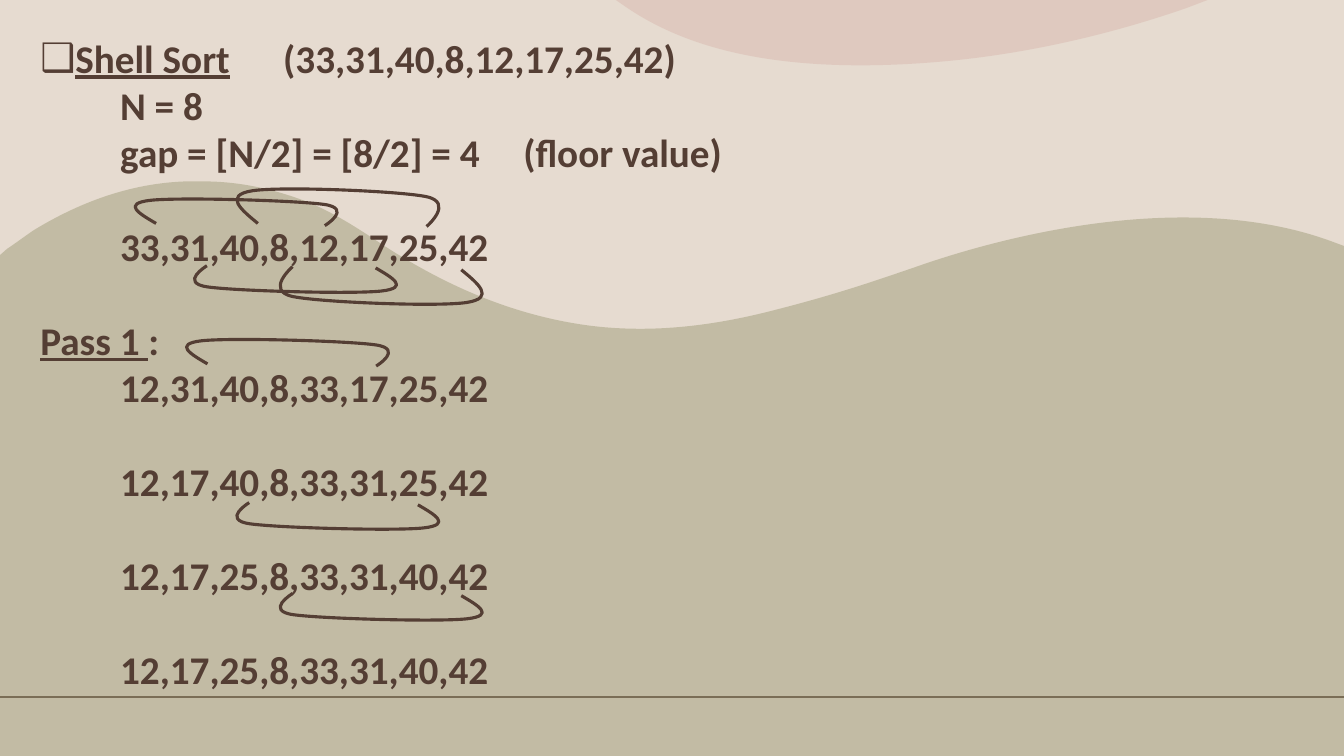
from lxml.etree import SubElement
from pptx import Presentation
from pptx.dml.color import RGBColor
from pptx.enum.shapes import MSO_CONNECTOR as Connector
from pptx.enum.text import MSO_ANCHOR as Anchor, MSO_AUTO_SIZE as AutoSize
from pptx.oxml.ns import qn
from pptx.util import Pt

BROWN, SAND, OLIVE, ROSE = "543E34", "E6DBD0", "A09D79", "CF9B92"
LINE_PITCH = 33.6
INDENT = 57
UNITS = 100  # path units per point

# Curves are triples: two control points and an end point
WAVE_FRAME = (0, 128.9, 960, 411.1)
WAVE_START = (5, 177.8)
WAVE_CURVES = [
    [(11.5, 173.5), (18, 168.5), (24.5, 164.2)],
    [(64.8, 139.7), (105.1, 128.2), (145.4, 129.6)],
    [(169.9, 129.6), (194.4, 134.6), (218.9, 144)],
    [(240.5, 152.6), (259.2, 165.6), (277.9, 177.8)],
    [(319, 203.8), (363.6, 223.9), (415.4, 231.8)],
    [(458.6, 238.3), (502.6, 234), (546.5, 223.2)],
    [(595.4, 211), (624.2, 200.9), (653.8, 190.8)],
    [(682.6, 180.7), (835.9, 128.2), (954, 173.5)],
]
WAVE_EDGE = [(960, 175.7), (960, 540), (0, 540), (0, 182.2)]
BLOB_FRAME = (439.9, 0, 422.7, 46.8)
BLOB_START = (847.4, 5.8)
BLOB_CURVES = [
    [(760.3, 36), (691.9, 42.5), (665.3, 44.6)],
    [(544.3, 54), (483.1, 29.5), (447.1, 5)],
]
BLOB_EDGE = [(439.9, 0), (862.6, 0)]

# Swap arc: x in points, y as a share of the arc height
ARC_WIDTH = 144.3
ARC_START = (15, 0.92)
ARC_CURVES = [
    [(3, 0.56), (-9.4, 0.19), (10.8, 0.07)],
    [(31, -0.05), (114.3, 0.07), (135, 0.22)],
    [(155.7, 0.37), (135.5, 1), (135.5, 1)],
]
# Left, top, height, rotation (180 hangs below the numbers)
ARCS = [
    (96.5, 141.8, 19.4, 0),
    (139, 189.8, 19.4, 180),
    (169.2, 134.4, 27.4, 0),
    (200.2, 190.5, 27.4, 180),
    (133.2, 242.1, 19.4, 0),
    (169.2, 359, 19.4, 180),
    (200.2, 423.9, 19.4, 180),
]

# Runs with underline flag, left indent, blank lines before
LINES = [
    ([("Shell Sort", True), ("\t(33,31,40,8,12,17,25,42)", False)], 25, 0),
    ([("N = 8", False)], INDENT, 0),
    ([("gap = [N/2] = [8/2] = 4\t(floor value)", False)], INDENT, 0),
    ([("33,31,40,8,12,17,25,42", False)], INDENT, 1),
    ([("Pass 1 ", True), (":", False)], 0, 1),
    ([("12,31,40,8,33,17,25,42", False)], INDENT, 0),
    ([("12,17,40,8,33,31,25,42", False)], INDENT, 1),
    ([("12,17,25,8,33,31,40,42", False)], INDENT, 1),
    ([("12,17,25,8,33,31,40,42", False)], INDENT, 1),
]
TAB_STOPS = {0: 173.5, 2: 346}


def color(value):
    return RGBColor.from_string(value)


def place(shape, left, top, width, height):
    shape.left, shape.top = Pt(left), Pt(top)
    shape.width, shape.height = Pt(width), Pt(height)


def add_outline(slide, start, curves, edge, frame):
    """Freeform of cubic curves, closed by straight edges if there are any."""
    points = [start] + [point for curve in curves for point in curve] + edge
    scaled = [(x * UNITS, y * UNITS) for x, y in points]
    builder = slide.shapes.build_freeform(*scaled[0], scale=Pt(1) / UNITS)
    builder.add_line_segments(scaled[1:], close=bool(edge))
    shape = builder.convert_to_shape()
    shape.shadow.inherit = False
    place(shape, *frame)

    # Measure the points from the frame
    left, top, width, height = frame
    outline = next(shape._element.iter(qn("a:path")))
    outline.set("w", str(round(width * UNITS)))
    outline.set("h", str(round(height * UNITS)))
    for node, (x, y) in zip(outline.iter(qn("a:pt")), points):
        node.set("x", str(round((x - left) * UNITS)))
        node.set("y", str(round((y - top) * UNITS)))

    # Join each three segments into one curve
    segments = outline.findall(qn("a:lnTo"))
    for index in range(0, 3 * len(curves), 3):
        curve = SubElement(outline, qn("a:cubicBezTo"))
        segments[index].addprevious(curve)
        for segment in segments[index:index + 3]:
            curve.append(segment[0])
            outline.remove(segment)
    return shape


def add_backdrop(slide, start, curves, edge, frame, fill, opacity):
    shape = add_outline(slide, start, curves, edge, frame)
    shape.fill.solid()
    shape.fill.fore_color.rgb = color(fill)
    shape.line.fill.background()
    fill_color = shape._element.spPr.find(qn("a:solidFill"))[0]
    SubElement(fill_color, qn("a:alpha"), val=str(opacity * 1000))


def add_arc(slide, left, top, height, rotation):
    def locate(point):
        return left + point[0], top + point[1] * height

    curves = [[locate(point) for point in curve] for curve in ARC_CURVES]
    frame = (left, top, ARC_WIDTH, height)
    shape = add_outline(slide, locate(ARC_START), curves, [], frame)
    shape.rotation = rotation
    shape.fill.background()
    shape.line.color.rgb = color(BROWN)
    shape.line.width = Pt(2.25)


def add_rule(slide, y):
    rule = slide.shapes.add_connector(Connector.STRAIGHT, Pt(0), Pt(y), Pt(960), Pt(y))
    rule.line.color.rgb = color(BROWN)
    rule.line.width = Pt(1.25)
    SubElement(rule._element.spPr, qn("a:effectLst"))


def format_paragraph(paragraph, runs, indent, blanks, bullet, tab):
    for text, underline in runs:
        run = paragraph.add_run()
        run.text = text
        font = run.font
        font.name, font.size, font.bold = "Calibri", Pt(28), True
        font.underline = underline
        font.color.rgb = color(BROWN)
    paragraph.line_spacing = Pt(LINE_PITCH)
    paragraph.space_before = Pt(blanks * LINE_PITCH)
    paragraph.space_after = Pt(0)
    properties = paragraph._p.get_or_add_pPr()
    properties.set("marL", str(Pt(indent)))
    properties.set("indent", str(-Pt(indent) if bullet else 0))
    if bullet:
        SubElement(properties, qn("a:buChar"), char="❑")
    else:
        SubElement(properties, qn("a:buNone"))
    if tab:
        tabs = SubElement(properties, qn("a:tabLst"))
        SubElement(tabs, qn("a:tab"), pos=str(Pt(tab)), algn="l")


def fill_body(slide, body):
    place(body, 21.6, 20.9, 915, 584)
    frame = body.text_frame
    frame.word_wrap = True
    frame.auto_size = AutoSize.NONE
    frame.vertical_anchor = Anchor.TOP
    for number, (runs, indent, blanks) in enumerate(LINES):
        paragraph = frame.add_paragraph() if number else frame.paragraphs[0]
        format_paragraph(paragraph, runs, indent, blanks, number == 0, TAB_STOPS.get(number))
    # Bring the text in front of the backdrop
    slide.shapes._spTree.append(body._element)


def main():
    presentation = Presentation()
    presentation.slide_width, presentation.slide_height = Pt(960), Pt(540)
    slide = presentation.slides.add_slide(presentation.slide_layouts[1])
    title, body = slide.placeholders
    title._element.getparent().remove(title._element)

    # Backdrop
    slide.background.fill.solid()
    slide.background.fill.fore_color.rgb = color(SAND)
    add_rule(slide, 498)
    add_backdrop(slide, WAVE_START, WAVE_CURVES, WAVE_EDGE, WAVE_FRAME, OLIVE, 50)
    add_backdrop(slide, BLOB_START, BLOB_CURVES, BLOB_EDGE, BLOB_FRAME, ROSE, 27)

    # Sorting steps and swap arcs
    fill_body(slide, body)
    for arc in ARCS:
        add_arc(slide, *arc)
    presentation.save("out.pptx")


if __name__ == "__main__":
    main()
